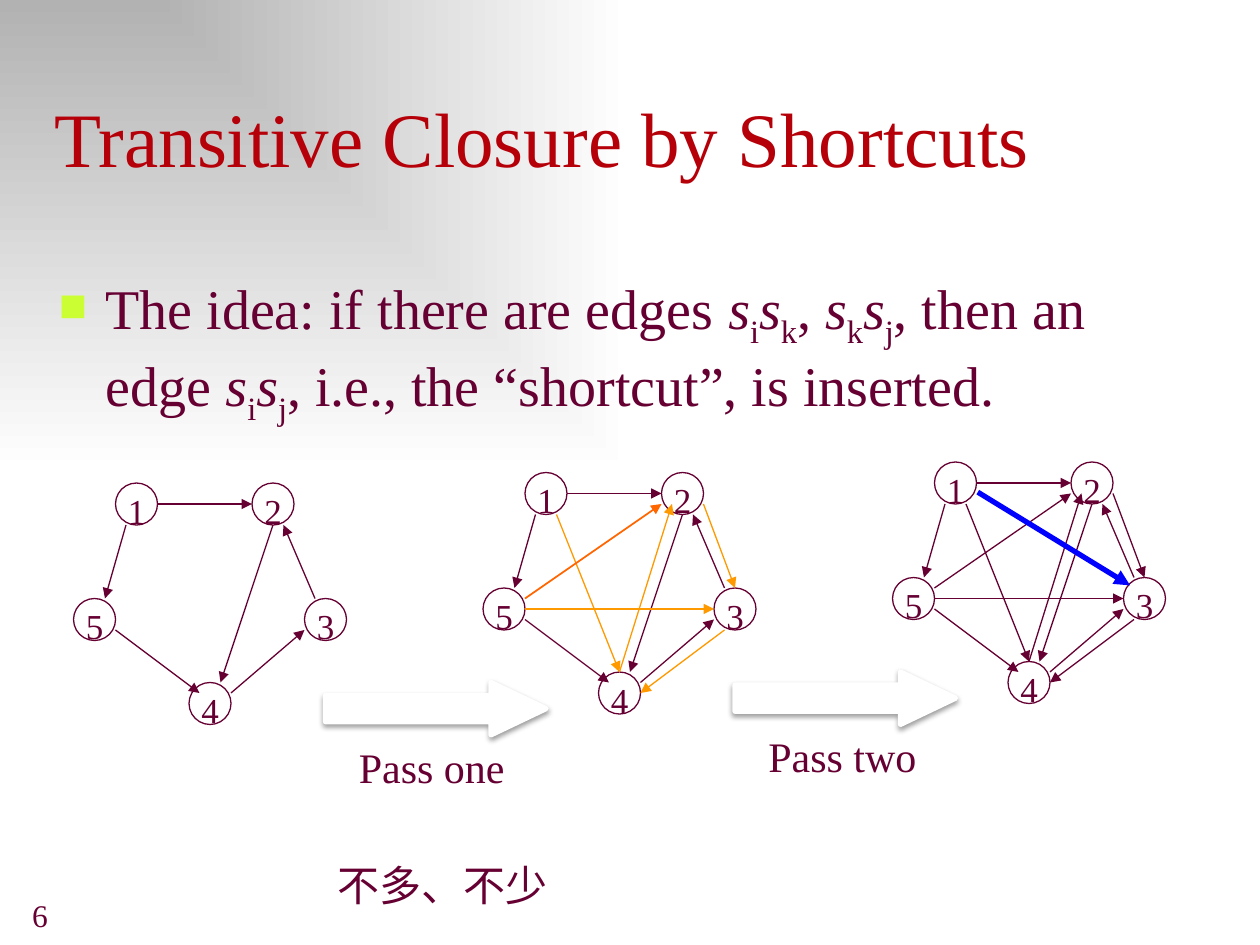
from lxml import etree
from pptx import Presentation
from pptx.dml.color import RGBColor
from pptx.enum.shapes import MSO_CONNECTOR, MSO_SHAPE
from pptx.enum.text import MSO_ANCHOR
from pptx.oxml import parse_xml
from pptx.oxml.ns import nsdecls, qn
from pptx.util import Pt

PX = 9525  # 96 px to the inch
OVAL, ARROW = MSO_SHAPE.OVAL, MSO_SHAPE.RIGHT_ARROW
STRAIGHT = MSO_CONNECTOR.STRAIGHT
TOP, BOTTOM = MSO_ANCHOR.TOP, MSO_ANCHOR.BOTTOM
FONT = "Times New Roman"
INK, RED, ORANGE, DEEP_ORANGE, BLUE = "660033", "B60009", "FF9900", "FF6600", "0000FF"


def rgb(value):
    return RGBColor.from_string(value)


def add_text(x, y, w, h, runs, size, color=INK, anchor=TOP):
    """Add a text box; each run is (text, style), style "i" italic or "sub"."""
    tf = s.shapes.add_textbox(x * PX, y * PX, w * PX, h * PX).text_frame
    tf.word_wrap = True
    tf.vertical_anchor = anchor
    p = tf.paragraphs[0]
    for text, style in runs:
        r = p.add_run()
        r.text = text
        r.font.name, r.font.size = FONT, Pt(size)
        r.font.color.rgb = rgb(color)
        if style == "i":
            r.font.italic = True
        elif style == "sub":
            r.font._element.set("baseline", "-25000")
    return p


prs = Presentation()
prs.slide_width, prs.slide_height = 960 * PX, 720 * PX
s = prs.slides.add_slide(prs.slide_layouts[6])

# Background: gradient spreading from the top left corner
fill = s.background.fill
fill.gradient()
for stop, color in zip(fill.gradient_stops, ("B2B2B2", "FFFFFF")):
    stop.color.rgb = rgb(color)
lin = next(s._element.iter(qn("a:lin")))
lin.getparent().replace(lin, parse_xml(
    f'<a:path {nsdecls("a")} path="rect"><a:fillToRect r="100000" b="100000"/></a:path>'))

# Title, idea and slide number
add_text(32, 63, 864, 81, [("Transitive Closure by Shortcuts", "")], 44, RED, BOTTOM)
idea = [("The idea: if there are edges ", ""),
        ("s", "i"), ("i", "sub"), ("s", "i"), ("k", "sub"), (", ", ""),
        ("s", "i"), ("k", "sub"), ("s", "i"), ("j", "sub"), (", then an edge ", ""),
        ("s", "i"), ("i", "sub"), ("s", "i"), ("j", "sub"),
        (", i.e., the “shortcut”, is inserted.", "")]
p = add_text(35, 204, 862, 432, idea, 32)
p.space_before = Pt(6.4)
pPr = p._p.get_or_add_pPr()
pPr.set("marL", str(36 * PX))
pPr.set("indent", str(-36 * PX))
bullet_color = etree.SubElement(pPr, qn("a:buClr"))
etree.SubElement(bullet_color, qn("a:srgbClr"), val="CCFF33")
etree.SubElement(pPr, qn("a:buSzPct"), val="70000")
etree.SubElement(pPr, qn("a:buChar"), char="■")
add_text(15, 668, 200, 48, [("6", "")], 18, anchor=BOTTOM)

# Graphs: nodes and edges are measured from each graph's top left corner
nodes = {"1": (32, 0), "2": (136, 0), "5": (0, 88), "3": (176, 88), "4": (88, 152)}
base_edges = [(64, 16, 136, 16), (40, 32, 24, 88), (32, 112, 96, 160),
              (152, 32, 112, 152), (184, 88, 160, 32), (120, 160, 176, 112)]
shortcuts = [(56, 32, 104, 152), (168, 24, 192, 88), (184, 120, 120, 168),
             (104, 152, 144, 24), (32, 104, 176, 104)]
edge_5_2, edge_1_3 = (32, 96, 136, 24), (65, 23, 181, 94)
graphs = [
    [(base_edges, INK, 0.75)],
    [(base_edges, INK, 0.75), (shortcuts, ORANGE, 0.75), ([edge_5_2], DEEP_ORANGE, 1)],
    [(base_edges + shortcuts + [edge_5_2], INK, 0.75), ([edge_1_3], BLUE, 3)],
]
STEP_X, STEP_Y = 312, -8
for i, edge_sets in enumerate(graphs):
    gx, gy = 56 + i * STEP_X, 368 + i * STEP_Y
    for label, (x, y) in nodes.items():
        sp = s.shapes.add_shape(OVAL, (gx + x) * PX, (gy + y) * PX, 32 * PX, 32 * PX)
        sp.shadow.inherit = False
        sp.fill.background()
        sp.line.color.rgb = rgb(INK)
        sp.line.width = Pt(0.75)
        add_text(gx + x, gy + y, 32, 41, [(label, "")], 20)
    for edges, color, width in edge_sets:
        for x1, y1, x2, y2 in edges:
            edge = s.shapes.add_connector(STRAIGHT, (gx + x1) * PX, (gy + y1) * PX,
                                          (gx + x2) * PX, (gy + y2) * PX)
            edge.line.color.rgb = rgb(color)
            edge.line.width = Pt(width)
            etree.SubElement(edge.line._get_or_add_ln(), qn("a:tailEnd"), type="triangle")
            etree.SubElement(edge._element.spPr, qn("a:effectLst"))

# Passes: block arrow with a soft shadow, and its label
for i, label in enumerate(("Pass one", "Pass two")):
    dx, dy = i * STEP_X, i * STEP_Y
    add_text(264 + dx, 560 + dy, 144, 48, [(label, "")], 24)
    sp = s.shapes.add_shape(ARROW, (248 + dx) * PX, (520 + dy) * PX, 168 * PX, 40 * PX)
    sp.adjustments[0], sp.adjustments[1] = 0.5, 1.05
    sp.fill.solid()
    sp.fill.fore_color.rgb = rgb("FFFFFF")
    sp.line.color.rgb = rgb("FFFFFF")
    sp.line.width = Pt(3)
    sp.shadow.inherit = False
    sp._element.spPr.find(qn("a:effectLst")).append(parse_xml(
        f'<a:outerShdw {nsdecls("a")} blurRad="{Pt(3.1)}" dist="{Pt(1.6)}" dir="5400000" '
        'rotWithShape="0"><a:srgbClr val="000000"><a:alpha val="38000"/></a:srgbClr></a:outerShdw>'))

# Remark
add_text(248, 650, 256, 48, [("不多、不少", "")], 24)

prs.save("out.pptx")
